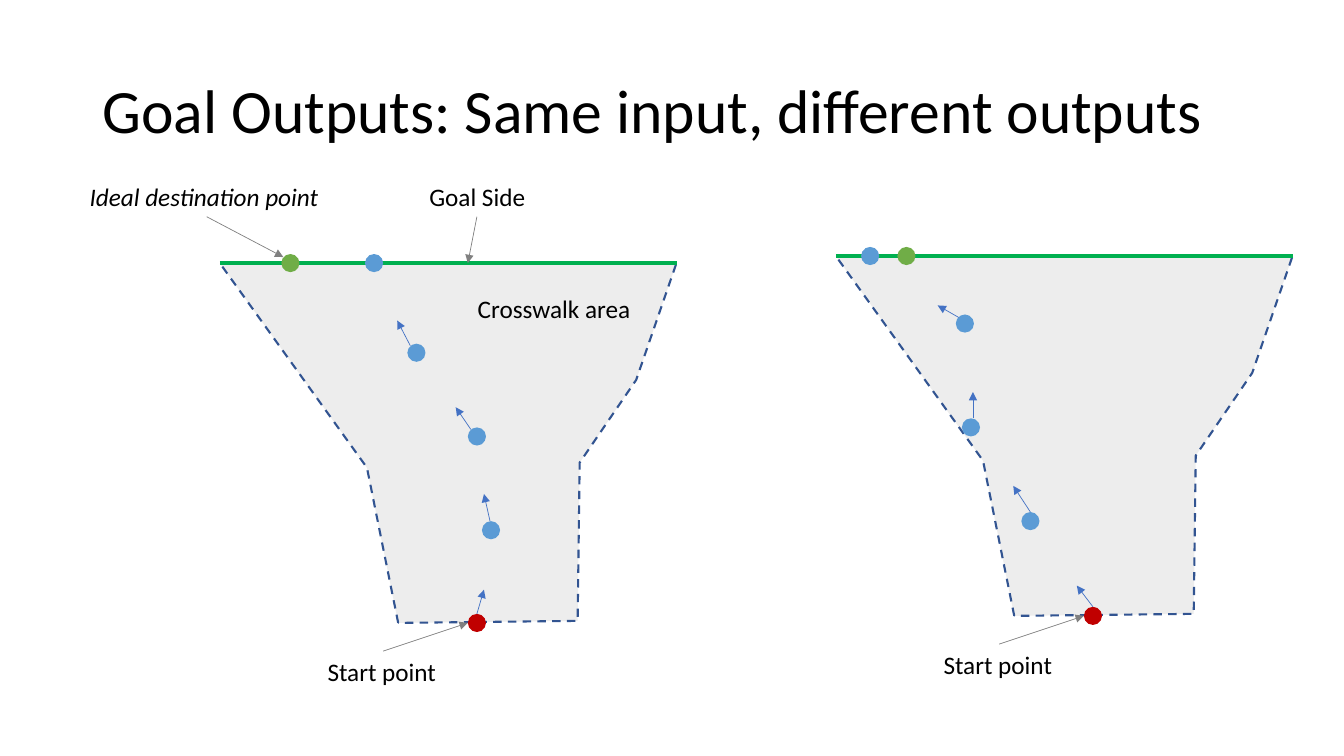
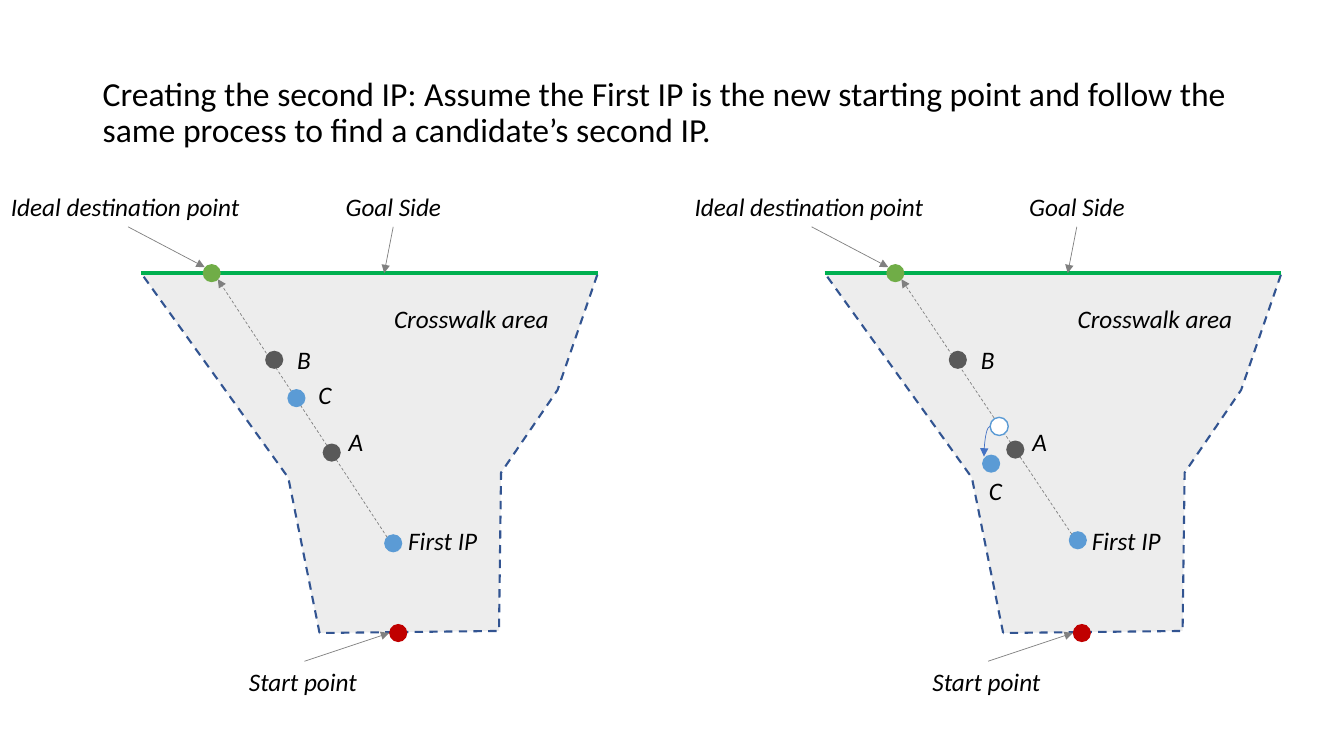
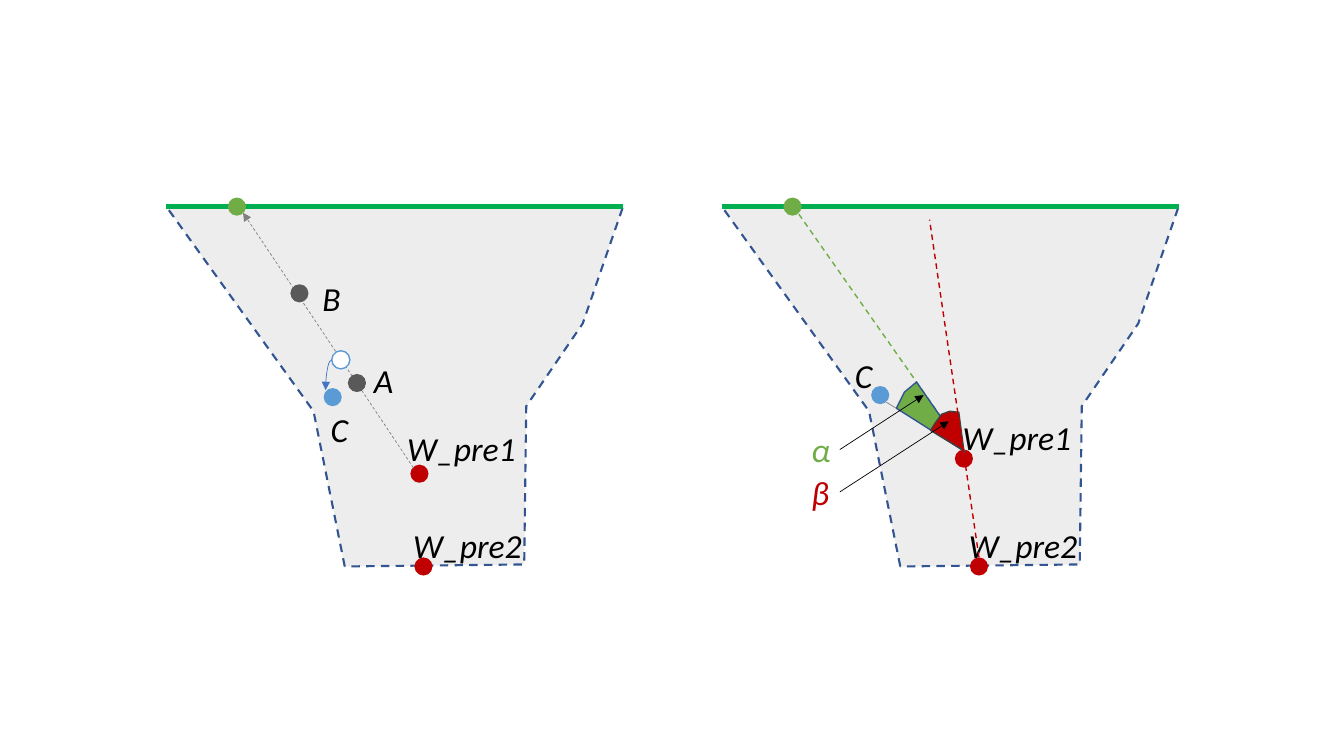
from dataclasses import dataclass
from typing import NamedTuple, Optional

import pptx
import pptx.dml.color
import pptx.enum.dml
import pptx.enum.shapes
import pptx.enum.text
import pptx.oxml.ns
import pptx.util
from pptx.util import Inches

# Shared style
FONT = "Calibri"
BLACK, WHITE, GRAY, DARK = "000000", "FFFFFF", "808080", "595959"
BLUE, ARROW_BLUE, NAVY = "5B9BD5", "4472C4", "325491"
GREEN, GOAL_GREEN, RED = "70AD47", "00B050", "C00000"
AREA_FILL, WEDGE_EDGE = "EDEDED", "404040"
DOT = 0.18


class Point(NamedTuple):
    x: float
    y: float


# Crosswalk geometry, measured from the left end of the goal side
OUTLINE = [Point(1.77, 3.57), Point(1.46, 2.03), Point(0, 0), Point(4.53, 0),
           Point(4.13, 1.16), Point(3.57, 1.98), Point(3.55, 3.55)]
START = Point(2.55, 3.57)
DESTINATION = Point(0.7, 0)


@dataclass
class Area:
    """A crosswalk on a slide; all its parts are placed from its origin."""
    slide: pptx.slide.Slide
    x: float
    y: float

    def at(self, p: Point) -> tuple:
        return Inches(self.x + p.x), Inches(self.y + p.y)


@dataclass
class Step:
    """A point on a walk and the direction arrow that leaves it."""
    dot: Point
    tail: Point
    tip: Point


# Basic parts
def rgb(colour: str) -> pptx.dml.color.RGBColor:
    return pptx.dml.color.RGBColor.from_string(colour)


def set_line(line, colour: str, width: float, dashed: bool = False) -> None:
    line.color.rgb = rgb(colour)
    line.width = pptx.util.Pt(width)
    if dashed:
        line.dash_style = pptx.enum.dml.MSO_LINE.DASH


def set_font(p, size: float, colour: str = BLACK, italic: bool = False) -> None:
    for r in p.runs:
        r.font.name, r.font.size = FONT, pptx.util.Pt(size)
        r.font.italic, r.font.color.rgb = italic, rgb(colour)


def add_title(s, text: str, size: float) -> None:
    tf = s.shapes.add_textbox(Inches(0.92), Inches(0.4), Inches(11.5), Inches(1.45)).text_frame
    tf.word_wrap = True
    tf.vertical_anchor = pptx.enum.text.MSO_ANCHOR.MIDDLE
    tf.text = text
    tf.paragraphs[0].line_spacing = 0.9
    set_font(tf.paragraphs[0], size)


def add_label(area: Area, text: str, p: Point, size: float = 18, width: Optional[float] = None,
              italic: bool = True, colour: str = BLACK) -> None:
    width = width or 0.2 + 0.008 * size  # a single letter
    tf = area.slide.shapes.add_textbox(*area.at(p), Inches(width), Inches(0.1 + size / 60)).text_frame
    tf.word_wrap = False
    tf.auto_size = pptx.enum.text.MSO_AUTO_SIZE.SHAPE_TO_FIT_TEXT
    tf.text = text
    set_font(tf.paragraphs[0], size, colour, italic)


def add_dot(area: Area, p: Point, fill: str, edge: Optional[str] = None) -> None:
    corner = Point(p.x - DOT / 2, p.y - DOT / 2)
    sp = area.slide.shapes.add_shape(pptx.enum.shapes.MSO_SHAPE.OVAL, *area.at(corner),
                                     Inches(DOT), Inches(DOT))
    sp.shadow.inherit = False
    sp.fill.solid()
    sp.fill.fore_color.rgb = rgb(fill)
    if edge:
        set_line(sp.line, edge, 1)
    else:
        sp.line.fill.background()


def add_line(area: Area, start: Point, end: Point, colour: str = GRAY, width: float = 0.5,
             dashed: bool = False, arrow: bool = False, curved: bool = False) -> None:
    kinds = pptx.enum.shapes.MSO_CONNECTOR
    kind = kinds.CURVE if curved else kinds.STRAIGHT
    c = area.slide.shapes.add_connector(kind, *area.at(start), *area.at(end))
    set_line(c.line, colour, width, dashed)
    props = c._element.spPr
    if curved:  # one bend: leaves sideways, arrives downwards
        props.find(pptx.oxml.ns.qn("a:prstGeom")).set("prst", "curvedConnector2")
    if arrow:
        head = pptx.oxml.parse_xml(f'<a:tailEnd {pptx.oxml.ns.nsdecls("a")} type="triangle"/>')
        c.line._get_or_add_ln().append(head)
    props.append(pptx.oxml.parse_xml(f'<a:effectLst {pptx.oxml.ns.nsdecls("a")}/>'))


def add_polygon(area: Area, points: list[Point], fill: str, edge: str, width: float,
                dashed: bool = False) -> None:
    first, *rest = [area.at(p) for p in points]
    builder = area.slide.shapes.build_freeform(*first)
    builder.add_line_segments(rest, close=True)
    sp = builder.convert_to_shape()
    sp.shadow.inherit = False
    sp.fill.solid()
    sp.fill.fore_color.rgb = rgb(fill)
    set_line(sp.line, edge, width, dashed)


# Crosswalk parts
def add_area(s, x: float, y: float) -> Area:
    area = Area(s, x, y)
    add_polygon(area, OUTLINE, AREA_FILL, NAVY, 1.5, dashed=True)
    add_line(area, Point(0, 0), Point(4.53, 0), GOAL_GREEN, 3)
    add_dot(area, START, RED)
    add_dot(area, DESTINATION, GREEN)
    return area


def add_start_callout(area: Area, italic: bool) -> None:
    add_label(area, "Start point", Point(0.97, 3.85), width=1.29, italic=italic)
    add_line(area, Point(1.62, 3.85), Point(2.46, 3.57), arrow=True)


def add_goal_callouts(area: Area, italic: bool, shift: float = 0) -> None:
    add_label(area, "Ideal destination point", Point(-1.39, -0.86), width=2.52)
    add_line(area, Point(-0.13, -0.46), Point(0.63, -0.06), arrow=True)
    add_label(area, "Goal Side", Point(1.98 + shift, -0.86), width=1.16, italic=italic)
    add_line(area, Point(2.55 + shift, -0.46), Point(2.46 + shift, 0), arrow=True)
    add_label(area, "Crosswalk area", Point(2.46 + shift, 0.25), width=1.74, italic=italic)


def add_walk(area: Area, first_tip: Point, steps: list[Step], end: Point) -> None:
    add_line(area, Point(START.x, START.y - DOT / 2), first_tip, ARROW_BLUE, arrow=True)
    for step in steps:
        add_dot(area, step.dot, BLUE)
        add_line(area, step.tail, step.tip, ARROW_BLUE, arrow=True)
    add_dot(area, end, BLUE)


def add_candidates(area: Area, base: Point, base_colour: str, size: float, moved: bool) -> None:
    """The way from a base point to the destination, with A, B and candidate C."""
    add_dot(area, base, base_colour)
    add_line(area, Point(base.x - 0.06, base.y - 0.06), Point(0.76, 0.06), dashed=True, arrow=True)
    add_dot(area, Point(1.89, base.y - 0.9), DARK)
    add_dot(area, Point(1.32, 0.86), DARK)
    add_label(area, "A", Point(1.96, 1.47), size)
    add_label(area, "B", Point(1.45, 0.66), size)
    if moved:
        add_dot(area, Point(1.73, 1.52), WHITE, BLUE)
        add_dot(area, Point(1.65, 1.89), BLUE)
        add_line(area, Point(1.64, 1.52), Point(1.58, 1.82), ARROW_BLUE, arrow=True, curved=True)
        add_label(area, "C", Point(1.53, 1.96), size)
    else:
        add_dot(area, Point(1.54, 1.24), BLUE)
        add_label(area, "C", Point(1.66, 1), size)


# Slides
def build_outputs(s) -> None:
    add_title(s, "Goal Outputs: Same input, different outputs", 44)
    left, right = add_area(s, 2.18, 2.61), add_area(s, 8.29, 2.54)
    add_goal_callouts(left, italic=False)
    for area in (left, right):
        add_start_callout(area, italic=False)
    add_walk(left, Point(2.62, 3.24), [
        Step(Point(2.69, 2.65), Point(2.68, 2.56), Point(2.62, 2.29)),
        Step(Point(2.55, 1.72), Point(2.49, 1.65), Point(2.34, 1.43)),
        Step(Point(1.95, 0.89), Point(1.89, 0.82), Point(1.76, 0.57)),
    ], Point(1.53, 0))
    add_walk(right, Point(2.39, 3.27), [
        Step(Point(1.93, 2.63), Point(1.93, 2.54), Point(1.76, 2.28)),
        Step(Point(1.34, 1.7), Point(1.36, 1.61), Point(1.36, 1.35)),
        Step(Point(1.28, 0.67), Point(1.22, 0.61), Point(1.01, 0.49)),
    ], Point(0.34, 0))


def build_second_ip(s) -> None:
    add_title(s, "Creating the second IP: Assume the First IP is the new starting point and "
                 "follow the same process to find a candidate’s second IP.", 24)
    for x, base, moved in ((1.4, Point(2.5, 2.68), False), (8.18, Point(2.51, 2.65), True)):
        area = add_area(s, x, 2.71)
        add_start_callout(area, italic=True)
        add_goal_callouts(area, italic=True, shift=-0.05)
        add_label(area, "First IP", Point(2.55, 2.45), width=0.89)
        add_candidates(area, base, BLUE, 18, moved)


def build_angles(s) -> None:
    left, right = add_area(s, 1.65, 2.05), add_area(s, 7.16, 2.05)
    for area, y in ((left, 2.15), (right, 2.04)):
        add_label(area, "W_pre1", Point(2.29, y), 24, 1.29)
        add_label(area, "W_pre2", Point(2.35, 3.11), 24, 1.29)
    add_candidates(left, Point(2.51, 2.65), RED, 24, moved=True)

    # Turning angles at W_pre1
    turn = Point(2.4, 2.41)
    add_dot(right, Point(2.4, 2.5), RED)
    add_dot(right, Point(1.57, 1.87), BLUE)
    add_label(right, "C", Point(1.22, 1.42), 24)
    add_line(right, turn, Point(1.63, 1.94))
    add_line(right, turn, Point(0.76, 0.07), GREEN, 1, dashed=True)
    add_polygon(right, [Point(2.41, 2.43), Point(1.73, 2), Point(1.81, 1.84), Point(1.93, 1.74)],
                GREEN, NAVY, 1)
    add_polygon(right, [Point(2.4, 2.42), Point(2.07, 2.22), Point(2.12, 2.14), Point(2.18, 2.06),
                        Point(2.26, 2.03), Point(2.35, 2.04)], RED, WEDGE_EDGE, 1)
    add_line(right, Point(2.55, 3.48), Point(2.06, 0.13), RED, 1, dashed=True)
    for text, colour, y, tip in (("α", GREEN, 2.16, Point(2, 1.87)),
                                 ("β", RED, 2.58, Point(2.25, 2.13))):
        add_label(right, text, Point(0.79, y), 24, colour=colour)
        add_line(right, Point(1.17, y + 0.25), tip, BLACK, arrow=True)


def main() -> None:
    prs = pptx.Presentation()
    prs.slide_width, prs.slide_height = Inches(13.33), Inches(7.5)
    for build in (build_outputs, build_second_ip, build_angles):
        build(prs.slides.add_slide(prs.slide_layouts[6]))
    prs.save("out.pptx")


if __name__ == "__main__":
    main()
